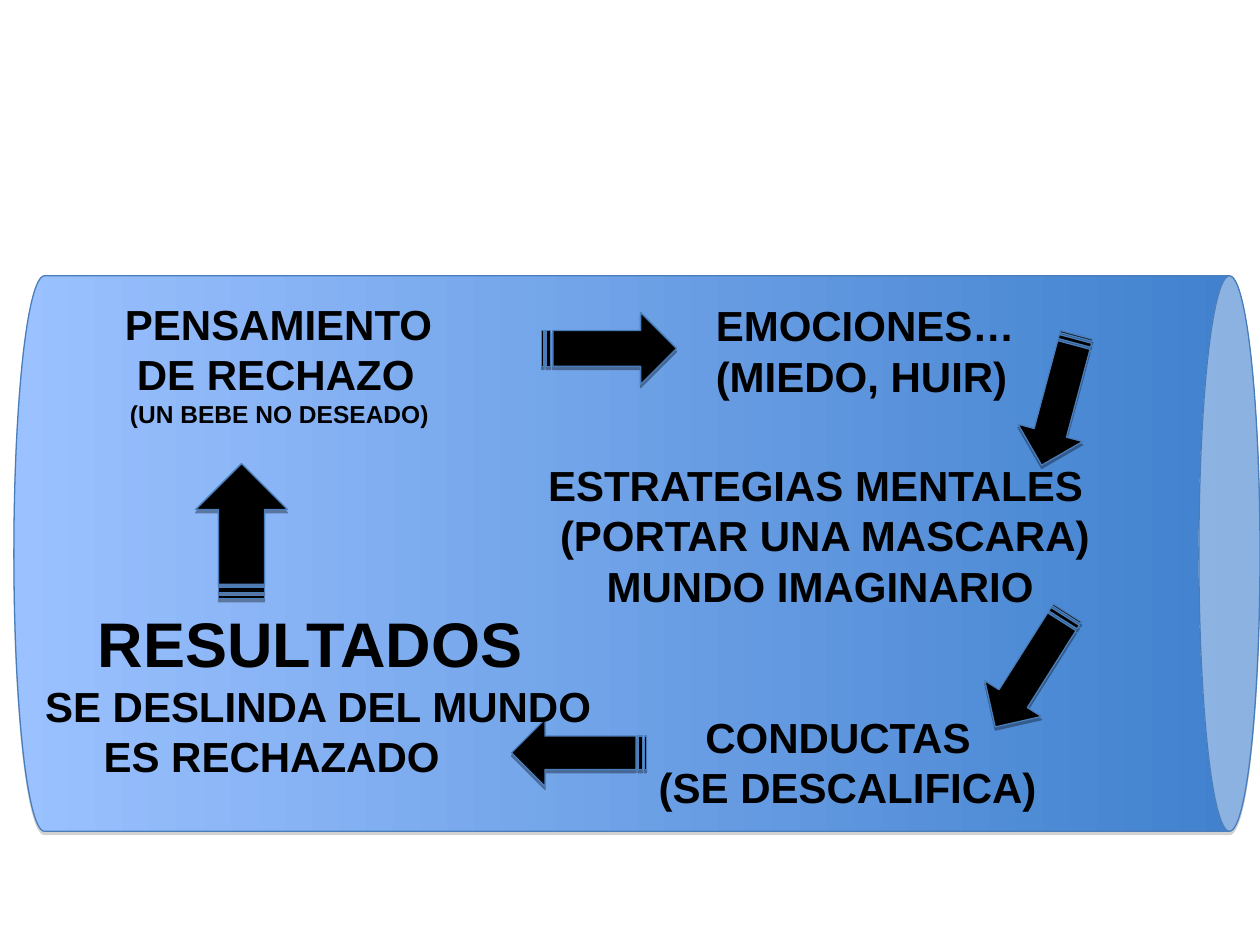
import pptx
import pptx.util
import pptx.dml.color
import pptx.enum.shapes
import pptx.oxml
import pptx.oxml.ns
from dataclasses import dataclass

Cm = pptx.util.Cm
Pt = pptx.util.Pt
RGB = pptx.dml.color.RGBColor.from_string
SHAPES = pptx.enum.shapes.MSO_SHAPE


@dataclass(frozen=True)
class Theme:
    font: str = "Arial"
    ink: str = "000000"
    outline: str = "4A7EBB"
    outline_width: float = 0.75
    light: str = "9BC1FF"
    dark: str = "3F80CD"
    cylinder_shadow: str = "808080"
    heading: int = 36
    text: int = 24
    note: int = 14


class CycleSlide:
    def __init__(self, slide, theme):
        self.slide = slide
        self.theme = theme

    def preset(self, kind, box, rotation, shadow_color):
        shape = self.slide.shapes.add_shape(kind, *map(Cm, box))
        shape.rotation = rotation
        shape.line.color.rgb = RGB(self.theme.outline)
        shape.line.width = Pt(self.theme.outline_width)
        shape.shadow.inherit = False
        effects = shape._element.spPr.find(pptx.oxml.ns.qn("a:effectLst"))
        effects.append(pptx.oxml.parse_xml(
            f'<a:outerShdw {pptx.oxml.ns.nsdecls("a")} dist="23000" dir="5400000" '
            f'rotWithShape="0"><a:srgbClr val="{shadow_color}">'
            '<a:alpha val="35000"/></a:srgbClr></a:outerShdw>'))
        return shape

    def cylinder(self, box):
        cylinder = self.preset(SHAPES.CAN, box, 90, self.theme.cylinder_shadow)
        cylinder.adjustments[0] = 0.11
        cylinder.fill.gradient()
        cylinder.fill.gradient_angle = 90
        for stop, color in zip(cylinder.fill.gradient_stops,
                               (self.theme.light, self.theme.dark)):
            stop.color.rgb = RGB(color)

    def arrow(self, box, rotation):
        arrow = self.preset(SHAPES.STRIPED_RIGHT_ARROW, box, rotation, self.theme.ink)
        arrow.fill.solid()
        arrow.fill.fore_color.rgb = RGB(self.theme.ink)

    def stage(self, box, lines):
        frame = self.slide.shapes.add_textbox(*map(Cm, box)).text_frame
        frame.word_wrap = True
        for number, (wording, size, indent) in enumerate(lines):
            paragraph = frame.add_paragraph() if number else frame.paragraphs[0]
            paragraph.text = wording
            paragraph._p.get_or_add_pPr().set("marL", str(Cm(indent)))
            paragraph.font.name = self.theme.font
            paragraph.font.size = Pt(size)
            paragraph.font.bold = True
            paragraph.font.color.rgb = RGB(self.theme.ink)


def main():
    deck = pptx.Presentation()
    deck.slide_width = Cm(25.4)
    deck.slide_height = Cm(19.05)
    theme = Theme()
    cycle = CycleSlide(deck.slides.add_slide(deck.slide_layouts[6]), theme)

    cycle.cylinder((7.24, -1.4, 11.2, 25.12))

    stages = [
        ((0.86, 5.89, 10.57, 2.9), [("PENSAMIENTO", theme.text, 1.41),
                                    ("DE RECHAZO", theme.text, 1.65),
                                    ("(UN BEBE NO DESEADO)", theme.note, 1.51)]),
        ((13.94, 5.92, 6.96, 2.29), [("EMOCIONES…", theme.text, 0.24),
                                     ("(MIEDO, HUIR)", theme.text, 0.24)]),
        ((10.8, 9.14, 11.51, 3.3), [("ESTRATEGIAS MENTALES", theme.text, 0),
                                    ("(PORTAR UNA MASCARA)", theme.text, 0.24),
                                    ("MUNDO IMAGINARIO", theme.text, 1.18)]),
        ((13.03, 14.22, 8.79, 2.29), [("CONDUCTAS", theme.text, 0.94),
                                      ("(SE DESCALIFICA)", theme.text, 0)]),
        ((0.66, 12.07, 13.28, 5.84), [("RESULTADOS", theme.heading, 1.06),
                                      ("SE DESLINDA DEL MUNDO", theme.text, 0),
                                      ("ES RECHAZADO", theme.text, 1.18)]),
    ]
    arrow_length = 2.72
    arrows = [
        (10.92, 6.3, 1.45, 0),
        (19.99, 7.39, 1.35, 105),
        (19.43, 12.83, 1.35, 122.3),
        (10.31, 14.5, 1.35, 180),
        (3.51, 9.78, 1.85, 270),
    ]
    for (box, lines), (left, top, thickness, rotation) in zip(stages, arrows):
        cycle.stage(box, lines)
        cycle.arrow((left, top, arrow_length, thickness), rotation)

    deck.save("out.pptx")


if __name__ == "__main__":
    main()
